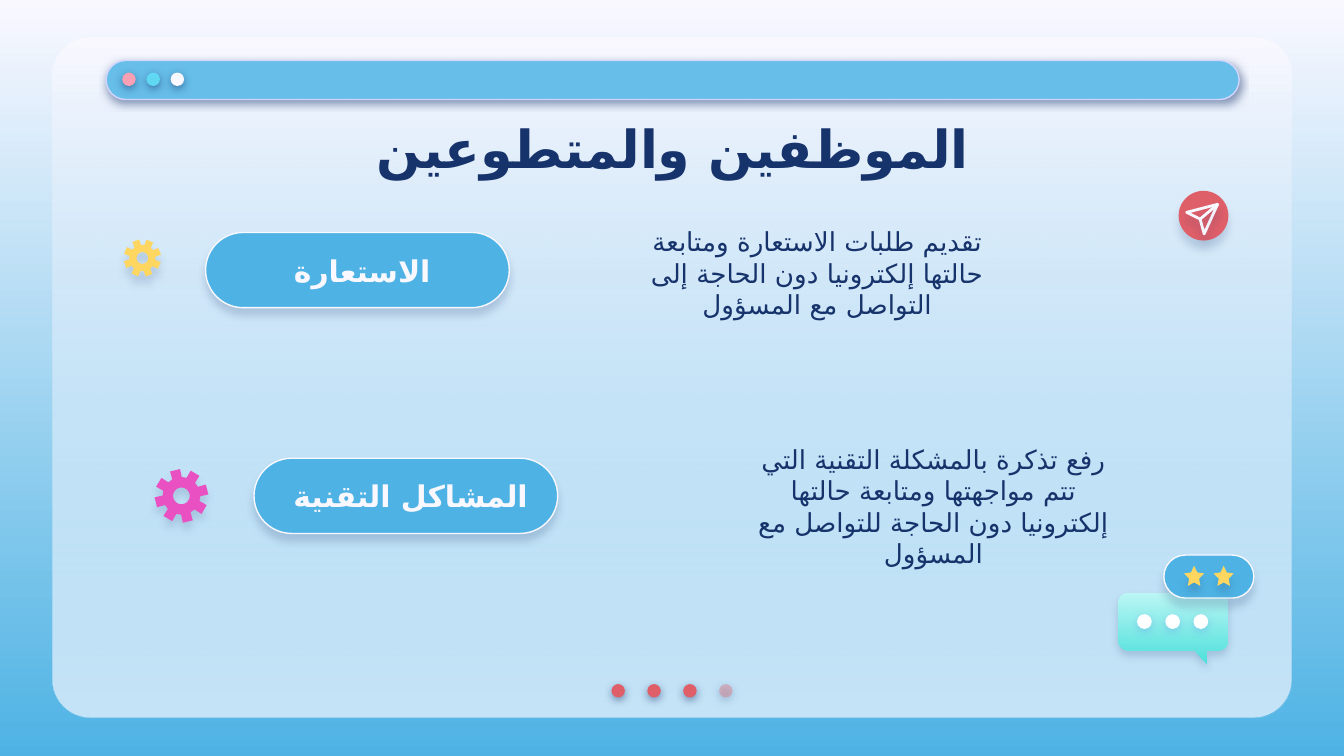
from math import cos, radians, sin

from lxml import etree
from pptx import Presentation
from pptx import util as u
from pptx.dml.color import RGBColor
from pptx.enum import shapes, text
from pptx.oxml.ns import qn

NAVY, BLUE, SKY, WHITE = "17336B", "4EB3E4", "66BEE9", "F9F8FF"
RED, YELLOW, PINK = "DF5F69", "FFD65F", "E951C2"
ARABIC_FONT = "DejaVu Sans"
KIND = shapes.MSO_SHAPE


def rgb(value):
    return RGBColor.from_string(value)


def set_alpha(fill_xml, percent):
    """Make the last colour inside a fill element partly transparent."""
    color = list(fill_xml.iter(qn("a:srgbClr")))[-1]
    etree.SubElement(color, qn("a:alpha"), val=str(percent * 1000))


def fade(fill, top, bottom):
    fill.gradient()
    fill.gradient_angle = 270
    for stop, color in zip(fill.gradient_stops, (top, bottom)):
        stop.color.rgb = rgb(color)


def arc(x, y, radius, start, end, steps=10):
    """Points on a circle; angles in degrees, clockwise from the right."""
    angles = [radians(start + (end - start) * i / steps) for i in range(steps + 1)]
    return [(x + radius * cos(a), y + radius * sin(a)) for a in angles]


class Deck:
    """Draws elements on the current slide in one shared style."""

    def __init__(self, width, height):
        self.prs = Presentation()
        self.prs.slide_width, self.prs.slide_height = u.Inches(width), u.Inches(height)
        self.s = self.prs.slides.add_slide(self.prs.slide_layouts[6])
        fade(self.s.background.fill, WHITE, BLUE)

    def shadow(self, sp, alpha, distance, color=NAVY):
        props = sp._element.spPr
        effects = props.find(qn("a:effectLst"))
        if effects is None:
            effects = etree.SubElement(props, qn("a:effectLst"))
        outer = etree.SubElement(effects, qn("a:outerShdw"), blurRad=str(u.Pt(4.5)),
                                 dist=str(u.Pt(distance)), dir="5400000",
                                 algn="bl", rotWithShape="0")
        etree.SubElement(outer, qn("a:srgbClr"), val=color)
        set_alpha(outer, alpha)

    def paint(self, sp, fill=None, line=None, weight=0.75, shadow=None):
        """Fill is a hex string, a (top, bottom) pair or None."""
        if fill is None:
            sp.fill.background()
        elif isinstance(fill, tuple):
            fade(sp.fill, *fill)
        else:
            sp.fill.solid()
            sp.fill.fore_color.rgb = rgb(fill)
        if line:
            sp.line.color.rgb = rgb(line)
            sp.line.width = u.Pt(weight)
        else:
            sp.line.fill.background()
        sp.shadow.inherit = False
        if shadow:
            self.shadow(sp, *shadow)
        return sp

    def shape(self, kind, x, y, w, h, fill, adj=None, **style):
        sp = self.s.shapes.add_shape(kind, *map(u.Inches, (x, y, w, h)))
        if adj is not None:
            sp.adjustments[0] = adj
        return self.paint(sp, fill, **style)

    def dots(self, x, y, size, step, colors, shadow):
        return [self.shape(KIND.OVAL, x + i * step, y, size, size, color, shadow=shadow)
                for i, color in enumerate(colors)]

    def outline(self, *contours, **style):
        points = [[(u.Inches(x), u.Inches(y)) for x, y in c] for c in contours]
        builder = self.s.shapes.build_freeform(*points[0][0])
        builder.add_line_segments(points[0][1:], close=True)
        for contour in points[1:]:
            builder.move_to(*contour[0])
            builder.add_line_segments(contour[1:], close=True)
        return self.paint(builder.convert_to_shape(), **style)

    def gear(self, x, y, radius, turn, **style):
        """Eight-toothed wheel with a round hole."""
        rim = []
        for tooth in range(8):
            middle = turn + 45 * tooth
            for offset, scale in ((-15, 0.7), (-11, 1), (11, 1), (15, 0.7)):
                a = radians(middle + offset)
                rim.append((x + radius * scale * cos(a), y + radius * scale * sin(a)))
        self.outline(rim, arc(x, y, radius * 0.31, 360, 0, 30), **style)

    def line(self, x1, y1, x2, y2, color, weight, shadow):
        c = self.s.shapes.add_connector(shapes.MSO_CONNECTOR.STRAIGHT,
                                        *map(u.Inches, (x1, y1, x2, y2)))
        c.line.color.rgb = rgb(color)
        c.line.width = u.Pt(weight)
        self.shadow(c, *shadow)

    def text(self, x, y, w, h, words, size, color=NAVY, font="Lato", bold=False,
             middle=False, spacing=None):
        tf = self.s.shapes.add_textbox(*map(u.Inches, (x, y, w, h))).text_frame
        tf.word_wrap = True
        tf.margin_left = tf.margin_right = tf.margin_top = tf.margin_bottom = u.Inches(0.1)
        tf.vertical_anchor = text.MSO_ANCHOR.MIDDLE if middle else text.MSO_ANCHOR.TOP
        p = tf.paragraphs[0]
        p.text = words
        p.alignment = text.PP_ALIGN.CENTER
        if spacing:
            p.line_spacing = spacing
        p.font.size, p.font.bold, p.font.name = u.Pt(size), bold, font
        p.font.color.rgb = rgb(color)
        props = p._p.pPr
        props.set("rtl", "1")
        etree.SubElement(props.find(qn("a:defRPr")), qn("a:cs"), typeface=ARABIC_FONT)


def draw_window(d):
    card = (KIND.ROUNDED_RECTANGLE, 0.39, 0.28, 9.22, 5.06)
    d.shape(*card, WHITE, adj=0.056)
    tint = d.shape(*card, (WHITE, SKY), adj=0.056)
    set_alpha(tint._element.spPr.find(qn("a:gradFill")), 35)
    strong = (50, 1.5)
    pages = d.dots(4.55, 5.09, 0.1, 0.267, [RED] * 3 + ["E27B83"], strong)
    set_alpha(pages[-1]._element.spPr.find(qn("a:solidFill")), 44)
    d.shape(KIND.ROUNDED_RECTANGLE, 0.79, 0.45, 8.43, 0.29, SKY, adj=0.5,
            line="D2D6FF", shadow=strong)
    d.dots(0.91, 0.54, 0.1, 0.18, ["FDA0B4", "60D8F4", WHITE], strong)


def draw_topics(d):
    topics = [
        (1.53, 1.73, "الاستعارة", (4.62, 1.58, 2.92, 0.86),
         "تقديم طلبات الاستعارة ومتابعة حالتها إلكترونيا دون الحاجة إلى التواصل مع المسؤول"),
        (1.89, 3.41, "المشاكل التقنية", (5.45, 3.2, 2.99, 0.87),
         "رفع تذكرة بالمشكلة التقنية التي تتم مواجهتها ومتابعة حالتها إلكترونيا "
         "دون الحاجة للتواصل مع المسؤول"),
    ]
    for x, y, name, box, details in topics:
        d.shape(KIND.ROUNDED_RECTANGLE, x, y, 2.26, 0.56, BLUE, adj=0.5,
                line=WHITE, shadow=(18, 3.8))
        d.text(x - 0.33, y - 0.1, 2.99, 0.76, name, 16, WHITE, bold=True, middle=True)
        d.text(*box, details, 14)
    d.text(0.79, 0.75, 8.43, 0.63, "الموظفين والمتطوعين", 28, font="Roboto",
           bold=True, middle=True, spacing=1.15)


def draw_chat(d):
    left, top, right, bottom, r = 8.32, 4.41, 9.14, 4.84, 0.08
    bubble = (arc(left + r, top + r, r, 180, 270) + arc(right - r, top + r, r, 270, 360)
              + arc(right - r, bottom - r, r, 0, 90)
              + [(8.98, bottom), (8.98, 4.94), (8.89, bottom)]
              + arc(left + r, bottom - r, r, 90, 180))
    d.outline(bubble, fill=("BBF6F4", "4EE0DB"), shadow=(18, 3))
    d.dots(8.46, 4.57, 0.11, 0.21, ["FFFFFF"] * 3, (18, 1.5, "5352EE"))
    soft = (19, 4.5)
    d.shape(KIND.ROUNDED_RECTANGLE, 8.66, 4.13, 0.67, 0.32, BLUE, adj=0.5,
            line=WHITE, shadow=soft)
    for x in (8.81, 9.03):
        d.shape(KIND.STAR_5_POINT, x, 4.21, 0.15, 0.15, YELLOW, adj=0.25, shadow=soft)


def draw_icons(d):
    d.gear(1.06, 1.92, 0.14, 24, fill=YELLOW, shadow=(16, 4.5))
    d.gear(1.35, 3.69, 0.2, 31, fill=PINK, shadow=(15, 3.8))
    soft = (16, 4.5)
    d.shape(KIND.OVAL, 8.77, 1.42, 0.37, 0.37, RED, shadow=soft)
    d.outline([(8.83, 1.58), (9.06, 1.52), (8.96, 1.74), (8.93, 1.63)],
              line=WHITE, weight=1.5, shadow=soft)
    d.line(9.06, 1.52, 8.93, 1.63, WHITE, 1.5, soft)


def main():
    d = Deck(10, 10 * 9 / 16)
    draw_window(d)
    draw_topics(d)
    draw_chat(d)
    draw_icons(d)
    d.prs.save("out.pptx")


if __name__ == "__main__":
    main()
